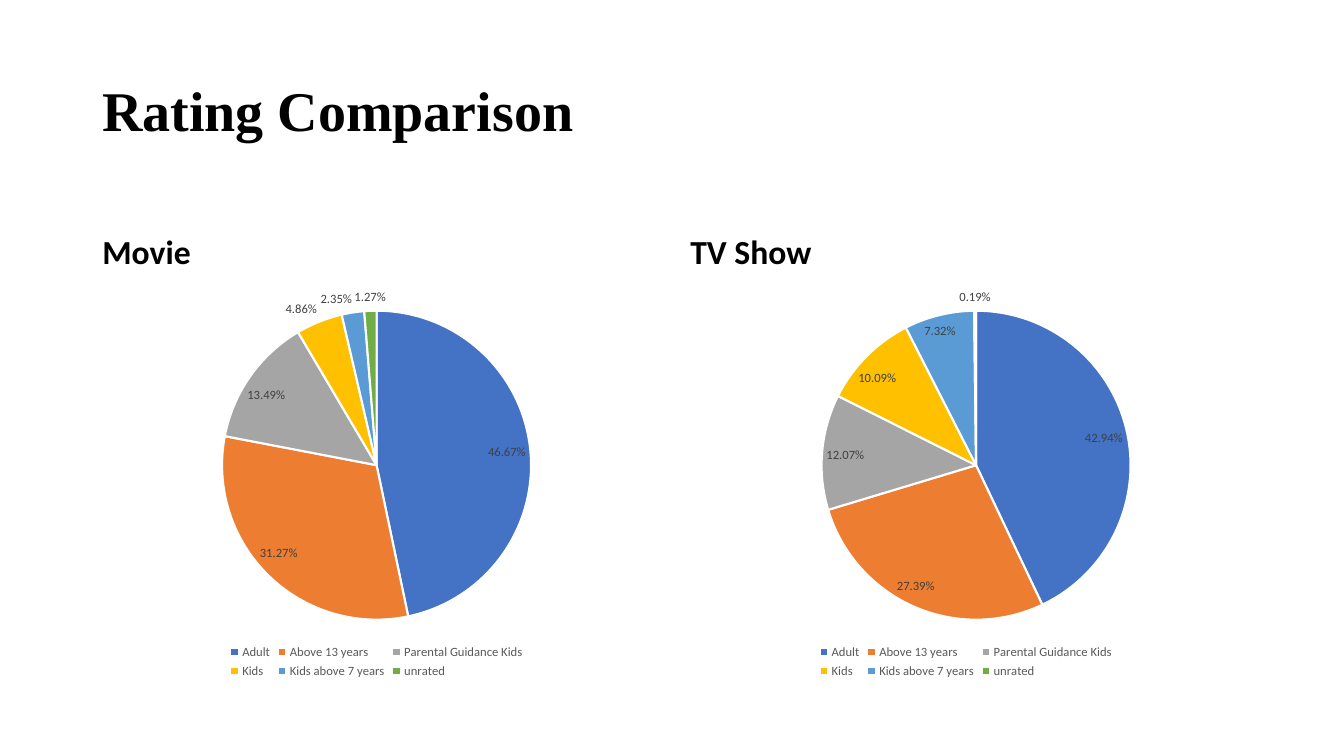
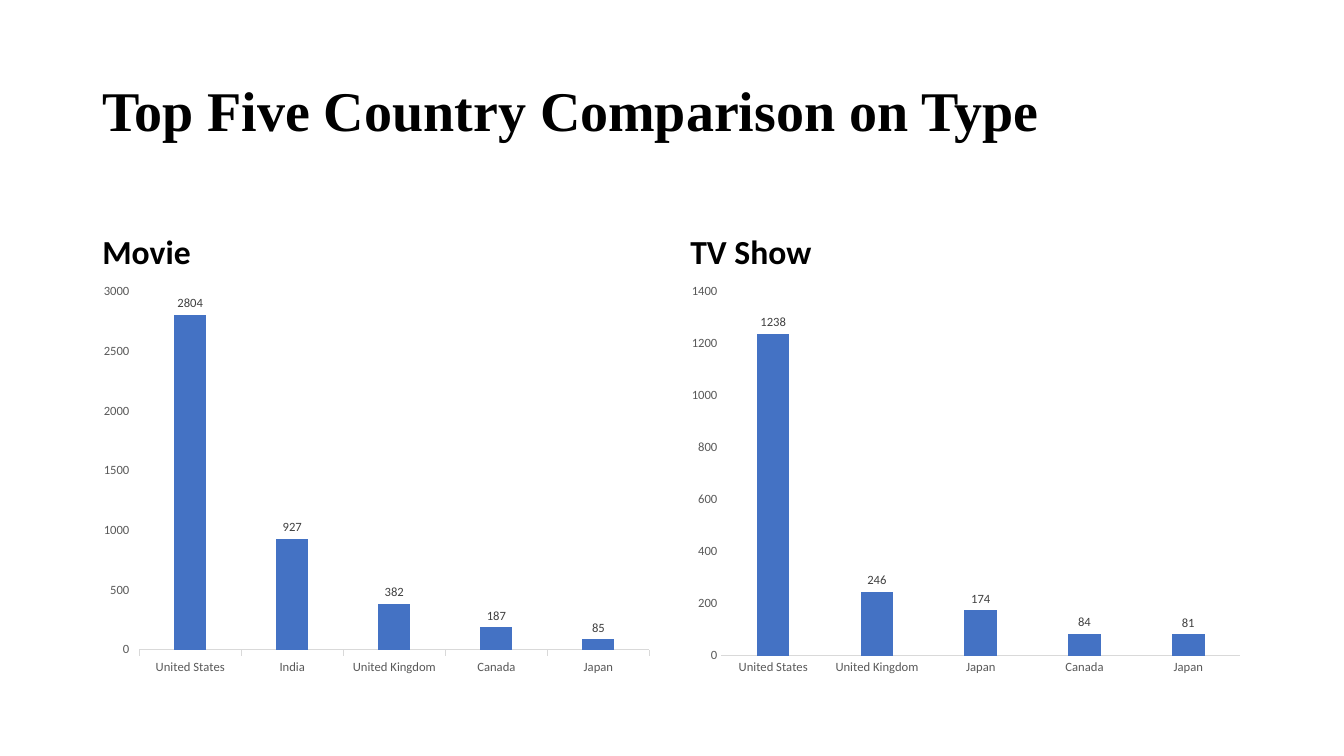
from pptx import Presentation
from pptx.chart.data import CategoryChartData
from pptx.dml.color import RGBColor
from pptx.enum import chart as ch, text as tx
from pptx.util import Pt

BLACK, WHITE = "000000", "FFFFFF"
LABEL_GREY, AXIS_GREY, LINE_GREY = "404040", "595959", "D9D9D9"
PALETTE = ["4472C4", "ED7D31", "A5A5A5", "FFC000", "5B9BD5", "70AD47"]
HEADING_FONT, BODY_FONT = "Times New Roman", "Calibri"

TITLE_AREA = (66, 28.75, 828, 104.4)
COLUMNS = [(66, 406), (486, 408)]  # left, width
SUBHEAD_TOP, SUBHEAD_HEIGHT = 132.4, 64.9
CHART_TOP, CHART_HEIGHT = 197.3, 290.1

RATINGS = ["Adult", "Above 13 years", "Parental Guidance Kids", "Kids",
           "Kids above 7 years", "unrated"]

SLIDES = [
    {"title": "Rating Comparison", "kind": "pie", "panels": [
        {"heading": "Movie", "categories": RATINGS,
         "values": [0.4667, 0.3127, 0.1349, 0.0486, 0.0235, 0.0127]},
        {"heading": "TV Show", "categories": RATINGS,
         "values": [0.4294, 0.2739, 0.1207, 0.1009, 0.0732, 0.0019]},
    ]},
    {"title": "Top Five Country Comparison on Type", "kind": "column", "panels": [
        {"heading": "Movie", "ticks": ch.XL_TICK_MARK.OUTSIDE,
         "categories": ["United States", "India", "United Kingdom", "Canada", "Japan"],
         "values": [2804, 927, 382, 187, 85]},
        {"heading": "TV Show", "ticks": ch.XL_TICK_MARK.NONE,
         "categories": ["United States", "United Kingdom", "Japan", "Canada", "Japan"],
         "values": [1238, 246, 174, 84, 81]},
    ]},
]


def rgb(value):
    return RGBColor.from_string(value)


def style_font(font, size, color, name=BODY_FONT, bold=False):
    font.size, font.name, font.bold = Pt(size), name, bold
    font.color.rgb = rgb(color)


def fill_solid(shape_format, color):
    shape_format.fill.solid()
    shape_format.fill.fore_color.rgb = rgb(color)


def add_text(page, content, area, *, size, font, anchor, space_before=0):
    frame = page.shapes.add_textbox(*map(Pt, area)).text_frame
    frame.word_wrap = True
    frame.vertical_anchor = anchor
    para = frame.paragraphs[0]
    para.line_spacing = 0.9
    para.space_before = Pt(space_before)
    span = para.add_run()
    span.text = content
    style_font(span.font, size, BLACK, font, bold=True)


def add_chart(page, kind, panel, area, number_format):
    """Add a one-series chart with value labels and no title or legend."""
    data = CategoryChartData(number_format=number_format)
    data.categories = panel["categories"]
    data.add_series("Series 1", panel["values"])
    chart = page.shapes.add_chart(kind, *map(Pt, area), data).chart
    chart.has_title = chart.has_legend = False
    style_font(chart.font, 10, BLACK)
    plot = chart.plots[0]
    plot.has_data_labels = True
    plot.data_labels.show_value = True
    plot.data_labels.show_percentage = False
    plot.data_labels.number_format = number_format
    plot.data_labels.number_format_is_linked = False
    style_font(plot.data_labels.font, 9, LABEL_GREY)
    return chart


def add_pie(page, panel, area):
    chart = add_chart(page, ch.XL_CHART_TYPE.PIE, panel, area, "0.00%")
    plot = chart.plots[0]
    plot.vary_by_categories = True
    plot.data_labels.position = ch.XL_LABEL_POSITION.BEST_FIT
    for index, color in enumerate(PALETTE):
        slice_format = plot.series[0].points[index].format
        fill_solid(slice_format, color)
        slice_format.line.color.rgb = rgb(WHITE)
        slice_format.line.width = Pt(1.5)
    chart.has_legend = True
    chart.legend.position = ch.XL_LEGEND_POSITION.BOTTOM
    chart.legend.include_in_layout = False
    style_font(chart.legend.font, 9, AXIS_GREY)


def add_columns(page, panel, area):
    chart = add_chart(page, ch.XL_CHART_TYPE.COLUMN_CLUSTERED, panel, area, "General")
    plot = chart.plots[0]
    plot.vary_by_categories = False
    plot.gap_width, plot.overlap = 219, -27
    plot.data_labels.position = ch.XL_LABEL_POSITION.OUTSIDE_END
    fill_solid(plot.series[0].format, PALETTE[0])
    for axis in (chart.category_axis, chart.value_axis):
        axis.has_major_gridlines = False
        axis.major_tick_mark = panel["ticks"]
        axis.minor_tick_mark = ch.XL_TICK_MARK.NONE
        style_font(axis.tick_labels.font, 9, AXIS_GREY)
    chart.category_axis.format.line.color.rgb = rgb(LINE_GREY)
    chart.category_axis.format.line.width = Pt(0.75)
    chart.value_axis.format.line.fill.background()


DRAW_CHART = {"pie": add_pie, "column": add_columns}


def add_comparison(deck, content):
    page = deck.slides.add_slide(deck.slide_layouts[6])
    add_text(page, content["title"], TITLE_AREA, size=40, font=HEADING_FONT,
             anchor=tx.MSO_ANCHOR.MIDDLE)
    for (left, width), panel in zip(COLUMNS, content["panels"]):
        add_text(page, panel["heading"], (left, SUBHEAD_TOP, width, SUBHEAD_HEIGHT),
                 size=24, font=BODY_FONT, anchor=tx.MSO_ANCHOR.BOTTOM, space_before=10)
        DRAW_CHART[content["kind"]](page, panel, (left, CHART_TOP, width, CHART_HEIGHT))


def main():
    deck = Presentation()
    deck.slide_width, deck.slide_height = Pt(960), Pt(540)
    for content in SLIDES:
        add_comparison(deck, content)
    deck.save("out.pptx")


if __name__ == "__main__":
    main()
